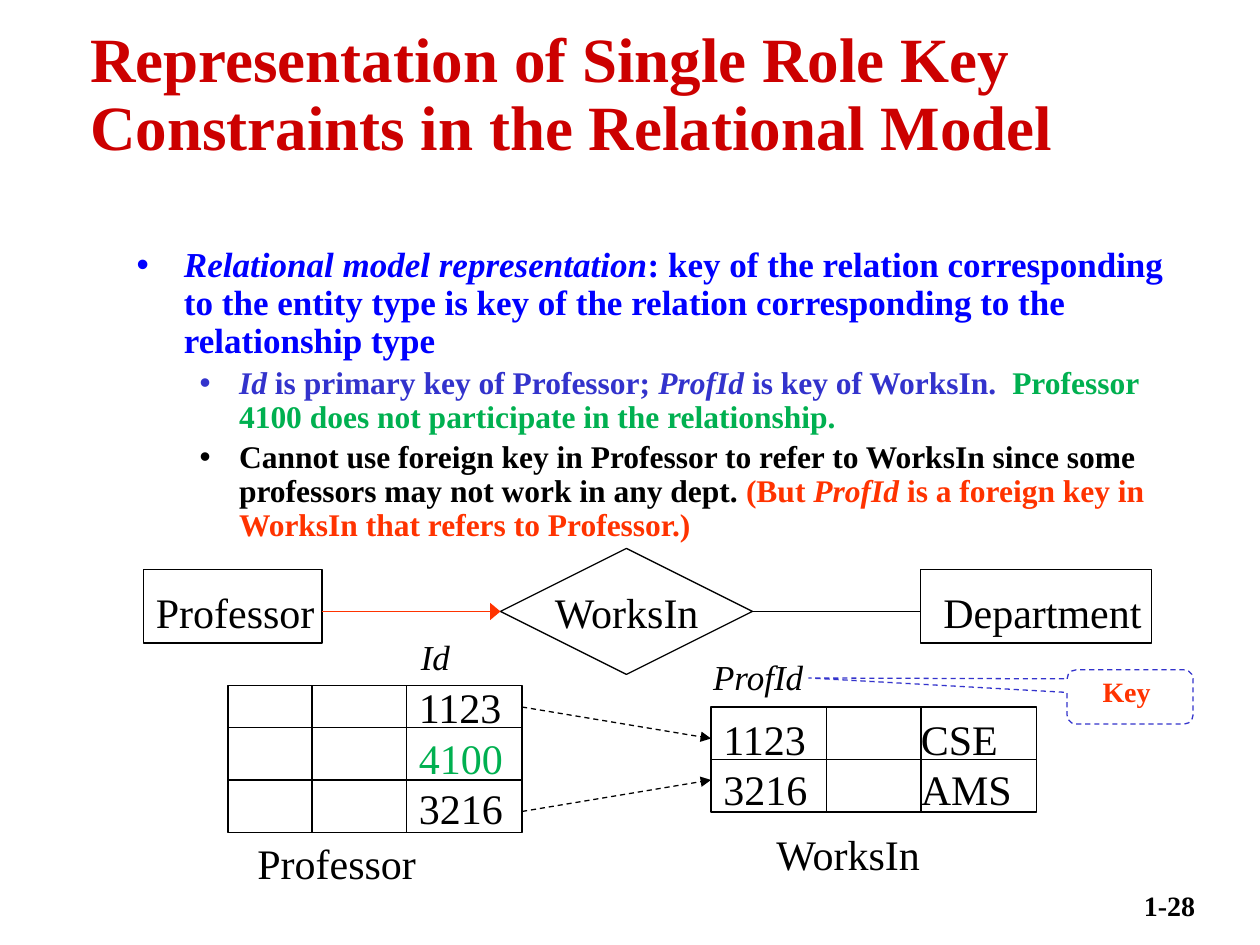
from typing import NamedTuple

from lxml.etree import SubElement
from pptx import Presentation
from pptx.dml.color import RGBColor
from pptx.enum.dml import MSO_LINE
from pptx.enum.shapes import MSO_CONNECTOR, MSO_SHAPE
from pptx.enum.text import MSO_ANCHOR, PP_ALIGN
from pptx.oxml.ns import qn
from pptx.util import Pt

FONT = "Times New Roman"
BLACK, RED, GREEN = "000000", "FF3300", "00B050"
BLUE, INDIGO, TITLE = "0000FF", "3333CC", "CC0000"
THIN = 0.75


class Run(NamedTuple):
    text: str
    color: str = BLACK
    italic: bool = False


class Item(NamedTuple):
    runs: list[Run]
    size: float
    indent: float
    hang: float


class Label(NamedTuple):
    runs: list[Run]
    x: float
    y: float
    w: float
    size: float = 24
    tab: float = 0


class Node(NamedTuple):
    kind: MSO_SHAPE
    x: float
    y: float
    w: float
    h: float


class Link(NamedTuple):
    start: tuple[float, float]
    end: tuple[float, float]
    color: str = BLACK
    dash: bool = False
    head: str = ""


class Grid(NamedTuple):
    """Outer edges with the inner rules, all as slide positions."""
    xs: list[float]
    ys: list[float]


def rgb(code: str) -> RGBColor:
    return RGBColor.from_string(code)


def write(par, runs: list[Run], *, size=24, bold=False, align=PP_ALIGN.LEFT, space=None):
    par.alignment = align
    if space:
        par.line_spacing = space
    for part in runs:
        run = par.add_run()
        run.text = part.text
        font = run.font
        font.name, font.size = FONT, Pt(size)
        font.bold, font.italic = bold, part.italic
        font.color.rgb = rgb(part.color)


def frame(slide, x: float, y: float, w: float, h: float, wrap=True):
    box = slide.shapes.add_textbox(Pt(x), Pt(y), Pt(w), Pt(h)).text_frame
    box.word_wrap = wrap
    return box


def bullet(par, item: Item):
    """Hang the paragraph from a round bullet."""
    props = par._p.get_or_add_pPr()
    props.set("marL", str(Pt(item.indent)))
    props.set("indent", str(Pt(-item.hang)))
    SubElement(props, qn("a:buFont"), typeface="Arial")
    SubElement(props, qn("a:buChar"), char="•")


def add_list(box, items: list[Item]):
    for num, item in enumerate(items):
        par = box.add_paragraph() if num else box.paragraphs[0]
        bullet(par, item)
        if num:
            par.space_before = Pt(item.size * 0.2)
        write(par, item.runs, size=item.size, bold=True, space=0.9)


def add_label(slide, label: Label):
    """Write each run on a line of its own."""
    high = 7.2 + 1.2 * label.size * len(label.runs)
    box = frame(slide, label.x, label.y, label.w, high, wrap=False)
    for num, run in enumerate(label.runs):
        par = box.add_paragraph() if num else box.paragraphs[0]
        if label.tab:
            tabs = SubElement(par._p.get_or_add_pPr(), qn("a:tabLst"))
            SubElement(tabs, qn("a:tab"), pos=str(Pt(label.tab)), algn="l")
        write(par, [run], size=label.size)


def stroke(line, color: str, dash=False):
    line.color.rgb = rgb(color)
    line.width = Pt(THIN)
    if dash:
        line.dash_style = MSO_LINE.DASH


def add_node(slide, node: Node, color=BLACK, dash=False):
    shape = slide.shapes.add_shape(node.kind, *map(Pt, node[1:]))
    shape.shadow.inherit = False
    shape.fill.background()
    stroke(shape.line, color, dash)
    return shape


def add_link(slide, link: Link):
    line = slide.shapes.add_connector(
        MSO_CONNECTOR.STRAIGHT, *map(Pt, link.start + link.end))
    stroke(line.line, link.color, link.dash)
    if link.head:
        SubElement(line.line._get_or_add_ln(), qn("a:tailEnd"),
                   type="triangle", w=link.head)
    SubElement(line._element.spPr, qn("a:effectLst"))


def add_grid(slide, grid: Grid):
    left, *cols, right = grid.xs
    top, *rows, base = grid.ys
    add_node(slide, Node(MSO_SHAPE.RECTANGLE, left, top, right - left, base - top))
    for x in cols:
        add_link(slide, Link((x, top), (x, base)))
    for y in rows:
        add_link(slide, Link((left, y), (right, y)))


ITEMS = [
    Item([Run("Relational model representation", BLUE, True),
          Run(": key of the relation corresponding to the entity type is key of "
              "the relation corresponding to the relationship type", BLUE)],
         20, 27, 27),
    Item([Run("Id", INDIGO, True),
          Run(" is primary key of Professor; ", INDIGO),
          Run("ProfId", INDIGO, True),
          Run(" is key of WorksIn.  ", INDIGO),
          Run("Professor 4100 does not participate in the relationship.", GREEN)],
         18, 58.5, 22.5),
    Item([Run("Cannot use foreign key in Professor to refer to WorksIn since some "
              "professors may not work in any dept. "),
          Run("(But ", RED), Run("ProfId", RED, True),
          Run(" is a foreign key in WorksIn that refers to Professor.)", RED)],
         18, 58.5, 22.5),
]
GRIDS = [
    Grid([130.3, 178.3, 232.3, 298.3], [391.7, 415.7, 445.7, 475.7]),
    Grid([406.3, 472.3, 526.3, 592.3], [404, 434, 464]),
]
NODES = [
    Node(MSO_SHAPE.DIAMOND, 286, 313.4, 144, 72),
    Node(MSO_SHAPE.RECTANGLE, 82, 325.5, 102, 42),
    Node(MSO_SHAPE.RECTANGLE, 526, 325.5, 132, 42),
]
PROF, WORKS = [Run("Professor")], [Run("WorksIn")]
LABELS = [
    Label([Run("1123"), Run("4100", GREEN), Run("3216")], 232.3, 386, 63.5),
    Label([Run("1123\tCSE"), Run("3216\tAMS")], 406.3, 404, 181, tab=112.8),
    Label(PROF, 82, 331.4, 105), Label(WORKS, 310, 331.4, 99),
    Label([Run("Department")], 532, 331.4, 130),
    Label(PROF, 140, 475, 105), Label(WORKS, 436.5, 470, 99),
    Label([Run("Id", italic=True)], 233.4, 359.6, 31, 20),
    Label([Run("ProfId", italic=True)], 400.4, 371.2, 67, 20),
]
LINKS = [
    Link((184, 349.4), (286, 349.4), RED, head="lg"),
    Link((430, 349.4), (526, 349.4)),
    Link((298.3, 404), (406.3, 422), dash=True, head="med"),
    Link((298.3, 463.7), (406.3, 445.7), dash=True, head="med"),
]


def main():
    deck = Presentation()
    deck.slide_width, deck.slide_height = Pt(720), Pt(540)
    slide = deck.slides.add_slide(deck.slide_layouts[6])

    head = frame(slide, 44.5, 40, 636, 30)
    head.vertical_anchor = MSO_ANCHOR.MIDDLE
    write(head.paragraphs[0], [Run(
        "Representation of Single Role Key Constraints in the Relational Model",
        TITLE)], size=36, bold=True, space=0.9)
    add_list(frame(slide, 71, 137.8, 622, 123), ITEMS)

    for grid in GRIDS:
        add_grid(slide, grid)
    for node in NODES:
        add_node(slide, node)
    for label in LABELS:
        add_label(slide, label)
    for link in LINKS:
        add_link(slide, link)

    note = add_node(slide, Node(MSO_SHAPE.ROUNDED_RECTANGULAR_CALLOUT,
                                609.8, 382.8, 72, 31), INDIGO, dash=True)
    note.adjustments[0], note.adjustments[1] = -2.55, -0.35
    note.text_frame.vertical_anchor = MSO_ANCHOR.TOP
    write(note.text_frame.paragraphs[0], [Run("Key ", RED)], size=16, bold=True,
          align=PP_ALIGN.CENTER, space=0.9)

    page = frame(slide, 621, 504, 69, 36)
    write(page.paragraphs[0], [Run("1-28")], size=16, bold=True, align=PP_ALIGN.RIGHT)
    deck.save("out.pptx")


if __name__ == "__main__":
    main()
